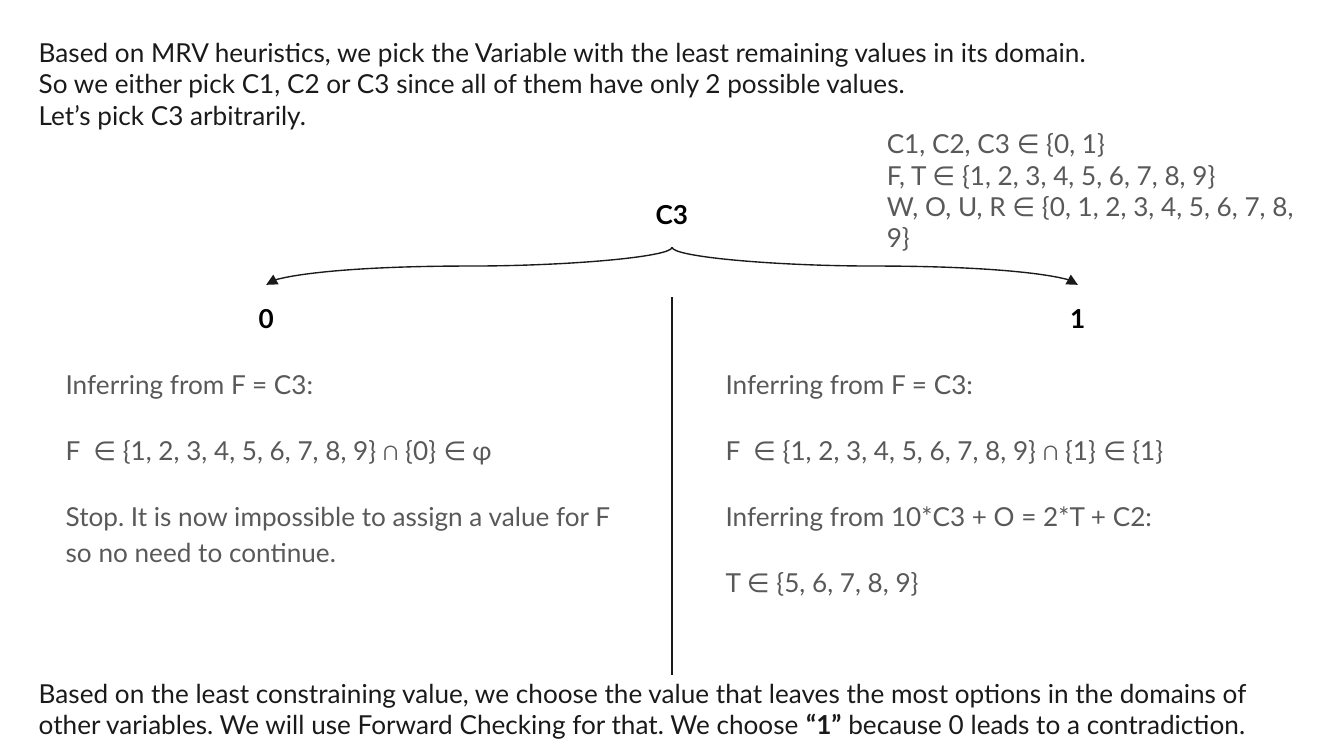
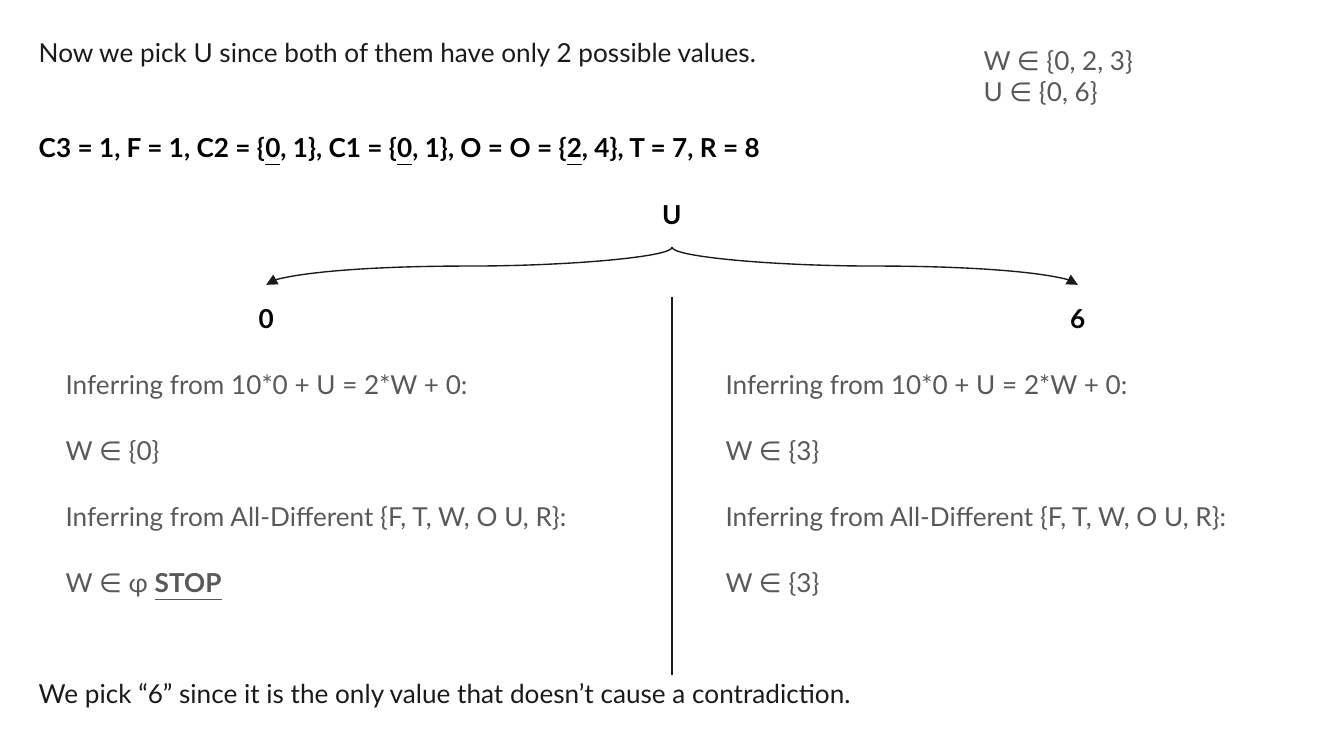
from lxml.etree import SubElement
from pptx import Presentation
from pptx.dml.color import RGBColor
from pptx.enum.shapes import MSO_CONNECTOR
from pptx.enum.text import MSO_ANCHOR, PP_ALIGN
from pptx.oxml.ns import qn
from pptx.util import Pt

INK, BLACK, GREY = "1A1A1A", "000000", "595959"
FONT = {"name": "Lato", "size": Pt(14)}
BOLD, UNDER = {"bold": True}, {"underline": True}
STOP = {"bold": True, "underline": True}

SLIDES = [
    {
        "intro": [
            "Based on MRV heuristics, we pick the Variable with the least remaining values in its domain.",
            "So we either pick C1, C2 or C3 since all of them have only 2 possible values.",
            "Let’s pick C3 arbitrarily.",
        ],
        "variable": "C3",
        "branches": [
            ("0", [
                "Inferring from F = C3:",
                "F  ∈ {1, 2, 3, 4, 5, 6, 7, 8, 9} ∩ {0} ∈ ɸ",
                "Stop. It is now impossible to assign a value for F so no need to continue.",
            ]),
            ("1", [
                "Inferring from F = C3:",
                "F  ∈ {1, 2, 3, 4, 5, 6, 7, 8, 9} ∩ {1} ∈ {1}",
                "Inferring from 10*C3 + O = 2*T + C2:",
                "T ∈ {5, 6, 7, 8, 9}",
            ]),
        ],
        "conclusion": [[
            ("Based on the least constraining value, we choose the value that leaves the most options "
             "in the domains of other variables. We will use Forward Checking for that. We choose ", {}),
            ("“1”", BOLD),
            (" because 0 leads to a contradiction.", {}),
        ]],
        "domains": [
            "C1, C2, C3 ∈ {0, 1}",
            "F, T ∈ {1, 2, 3, 4, 5, 6, 7, 8, 9}",
            "W, O, U, R ∈ {0, 1, 2, 3, 4, 5, 6, 7, 8, 9}",
        ],
        "domains_box": (468, 61.2, 247.7, 67.7),
        "assigned": [],
    },
    {
        "intro": ["Now we pick U since both of them have only 2 possible values."],
        "variable": "U",
        "branches": [
            ("0", [
                "Inferring from 10*0 + U = 2*W + 0:",
                "W ∈ {0}",
                "Inferring from All-Different {F, T, W, O U, R}:",
                [("W ∈ ɸ ", {}), ("STOP", STOP)],
            ]),
            ("6", [
                "Inferring from 10*0 + U = 2*W + 0:",
                "W ∈ {3}",
                "Inferring from All-Different {F, T, W, O U, R}:",
                "W ∈ {3}",
            ]),
        ],
        "conclusion": ["We pick “6” since it is the only value that doesn’t cause a contradiction."],
        "domains": ["W ∈ {0, 2, 3}", "U ∈ {0, 6}"],
        "domains_box": (519.8, 16.6, 195.1, 99.4),
        "assigned": [[
            ("C3 = 1, F = 1, C2 = {", {}), ("0", UNDER),
            (", 1}, C1 = {", {}), ("0", UNDER),
            (", 1}, O = O = {", {}), ("2", UNDER),
            (", 4}, T = 7, R = 8", {}),
        ]],
    },
]

WIDTH, HEIGHT = 720, 405
MID = WIDTH / 2
INTRO_BOX = (13.7, 12.2, 692, 62)
CONCLUSION_BOX = (13.7, 355.7, 692, 49.7)
ASSIGNED_BOX = (13.7, 61.2, 412.6, 35.3)
NODE_W, NODE_H = 44, 35.3
ROOT_Y, CHILD_Y = 97.2, 152.6
SPREAD = 217.4
NOTE_Y, NOTE_W, NOTE_H = 187.9, 310.3, 167.8
NOTE_LEFTS = (28.1, 381.6)
DIVIDER = (159.1, 361.4)


def color(value):
    return RGBColor.from_string(value)


def set_attrs(obj, values):
    for name, value in values.items():
        setattr(obj, name, value)


def add_text(s, box, paragraphs, ink, run_format={}, para_format={}, anchor=MSO_ANCHOR.TOP, gap=0):
    sp = s.shapes.add_textbox(*map(Pt, box))
    tf = sp.text_frame
    margins = {f"margin_{side}": Pt(7.2) for side in ("left", "top", "right", "bottom")}
    set_attrs(tf, {"word_wrap": True, "vertical_anchor": anchor, **margins})
    for i, runs in enumerate(paragraphs):
        p = tf.add_paragraph() if i else tf.paragraphs[0]
        set_attrs(p, para_format)
        if gap and i:
            p.space_before = Pt(gap)
        for text, extra in [(runs, {})] if isinstance(runs, str) else runs:
            r = p.add_run()
            r.text = text
            set_attrs(r.font, {**FONT, **run_format, **extra})
            r.font.color.rgb = color(ink)
    if gap:
        p.space_after = Pt(gap)
    return sp


def add_node(s, center, top, label):
    return add_text(s, (center - NODE_W / 2, top, NODE_W, NODE_H), [label], BLACK, BOLD,
                    {"alignment": PP_ALIGN.CENTER}, MSO_ANCHOR.MIDDLE)


def add_line(s, kind, *ends):
    c = s.shapes.add_connector(kind, *map(Pt, ends))
    c.line.color.rgb = color(INK)
    c.line.width = Pt(0.75)
    SubElement(c._element.spPr, qn("a:effectLst"))
    return c


def add_branch(s, root, child, side):
    top = ROOT_Y + NODE_H
    drop = CHILD_Y - top
    c = add_line(s, MSO_CONNECTOR.CURVE, MID, top, MID + side * SPREAD, CHILD_Y)
    c.begin_connect(root, 2)
    c.end_connect(child, 0)
    set_attrs(c, {"left": Pt(MID + (side * SPREAD - drop) / 2), "top": Pt(top + (drop - SPREAD) / 2),
                  "width": Pt(drop), "height": Pt(SPREAD)})
    set_attrs(c._element.spPr.xfrm, {"rot": 90 if side < 0 else 270, "flipH": side > 0, "flipV": False})
    SubElement(c.line._get_or_add_ln(), qn("a:tailEnd"), type="triangle")


def build_slide(prs, content):
    s = prs.slides.add_slide(prs.slide_layouts[6])
    add_text(s, INTRO_BOX, content["intro"], INK)
    root = add_node(s, MID, ROOT_Y, content["variable"])
    for side, left, (value, notes) in zip((-1, 1), NOTE_LEFTS, content["branches"]):
        child = add_node(s, MID + side * SPREAD, CHILD_Y, value)
        add_branch(s, root, child, side)
        add_text(s, (left, NOTE_Y, NOTE_W, NOTE_H), notes, GREY,
                 para_format={"line_spacing": 1.15}, gap=16)
    add_line(s, MSO_CONNECTOR.STRAIGHT, MID, DIVIDER[0], MID, DIVIDER[1])
    add_text(s, CONCLUSION_BOX, content["conclusion"], INK)
    if content["assigned"]:
        add_text(s, ASSIGNED_BOX, content["assigned"], BLACK, BOLD, anchor=MSO_ANCHOR.MIDDLE)
    add_text(s, content["domains_box"], content["domains"], GREY)


def main():
    prs = Presentation()
    set_attrs(prs, {"slide_width": Pt(WIDTH), "slide_height": Pt(HEIGHT)})
    for content in SLIDES:
        build_slide(prs, content)
    prs.save("out.pptx")


if __name__ == "__main__":
    main()
